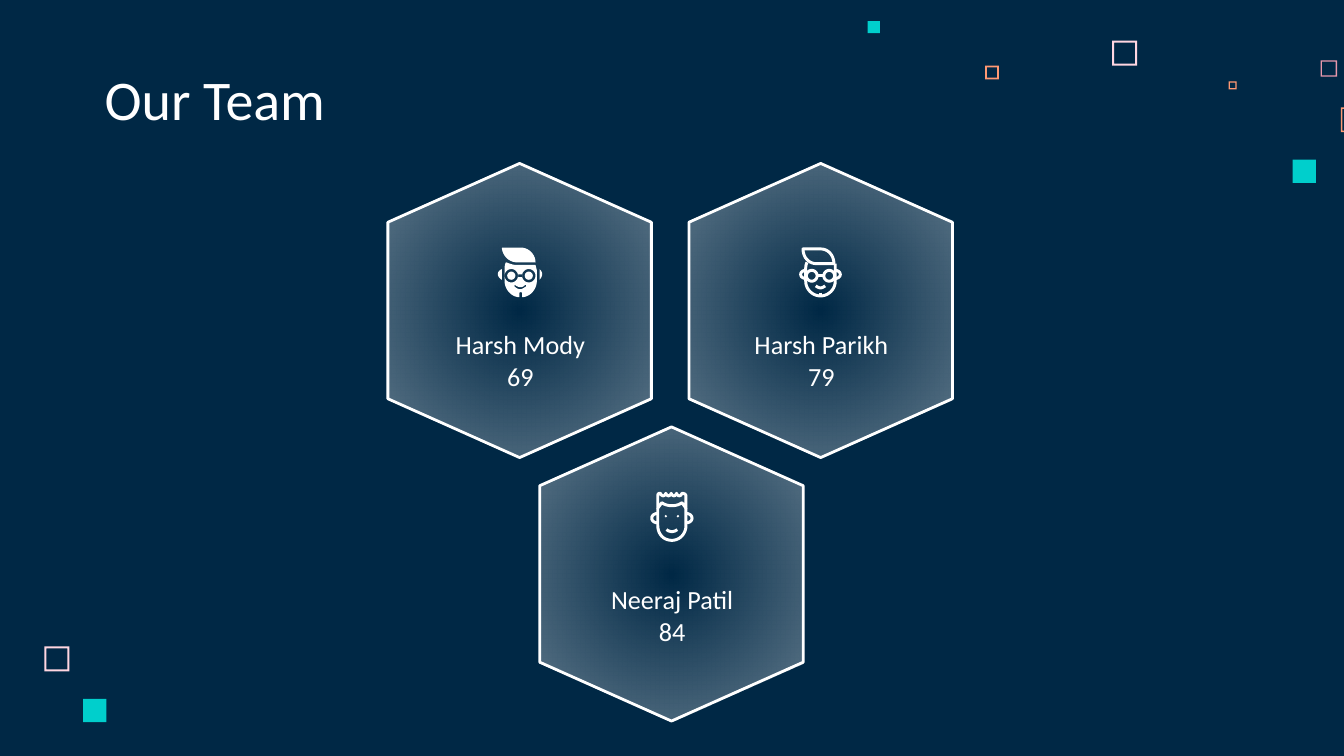
from dataclasses import dataclass

from pptx import Presentation
from pptx.dml.color import RGBColor
from pptx.enum.shapes import MSO_SHAPE
from pptx.enum.text import MSO_ANCHOR, PP_ALIGN
from pptx.oxml import parse_xml
from pptx.oxml.ns import nsdecls, qn
from pptx.util import Cm, Pt

FRAME = MSO_SHAPE.FRAME
RECT = MSO_SHAPE.RECTANGLE
HEXAGON = MSO_SHAPE.FLOWCHART_PREPARATION
BOTTOM = MSO_ANCHOR.BOTTOM
LEFT = PP_ALIGN.LEFT
CENTER = PP_ALIGN.CENTER


@dataclass(frozen=True)
class Theme:
    font: str = "Calibri"
    title: float = 30
    body: float = 14
    navy: RGBColor = RGBColor.from_string("002845")
    white: RGBColor = RGBColor.from_string("FFFFFF")
    teal: RGBColor = RGBColor.from_string("00CFCC")
    orange: RGBColor = RGBColor.from_string("FF9973")
    pink: RGBColor = RGBColor.from_string("FFD6E1")
    rose: RGBColor = RGBColor.from_string("E898AC")


T = Theme()

prs = Presentation()
prs.slide_width, prs.slide_height = Cm(25.4), Cm(14.29)
s = prs.slides.add_slide(prs.slide_layouts[6])
s.background.fill.solid()
s.background.fill.fore_color.rgb = T.navy


def add_text(text, x, y, w, h, size=T.body, align=CENTER):
    tf = s.shapes.add_textbox(Cm(x), Cm(y), Cm(w), Cm(h)).text_frame
    tf.word_wrap = True
    tf.vertical_anchor = BOTTOM
    tf.margin_left = tf.margin_right = tf.margin_top = tf.margin_bottom = Cm(0.25)
    for i, line in enumerate(text.split("\n")):
        p = tf.paragraphs[0] if i == 0 else tf.add_paragraph()
        p.alignment = align
        r = p.add_run()
        r.text = line
        r.font.name, r.font.size = T.font, Pt(size)
        r.font.color.rgb = T.white


def draw_path(path, x, y, filled):
    unit = Cm(2.54) / 100
    contours = []
    for token in path.split():
        n = [float(v) for v in token[1:].split(",")] if len(token) > 1 else []
        if token[0] == "M":
            contours.append(([tuple(n)], False))
        elif token[0] == "L":
            contours[-1][0].append(tuple(n))
        elif token[0] == "Z":
            contours[-1] = (contours[-1][0], True)
        else:
            points = contours[-1][0]
            start = points[-1]
            for t in (i / 10 for i in range(1, 11)):
                u = 1 - t
                points.append(tuple(
                    u**3 * start[k] + 3 * u * u * t * n[k]
                    + 3 * u * t * t * n[k + 2] + t**3 * n[k + 4]
                    for k in (0, 1)))
    builder = None
    for points, closed in contours:
        pts = [(Cm(x) + px * unit, Cm(y) + py * unit) for px, py in points]
        if builder is None:
            builder = s.shapes.build_freeform(*pts[0], scale=1)
        else:
            builder.move_to(*pts[0])
        builder.add_line_segments(pts[1:], close=closed)
    sp = builder.convert_to_shape()
    sp.shadow.inherit = False
    if filled:
        sp.fill.solid()
        sp.fill.fore_color.rgb = T.white
        sp.line.fill.background()
    else:
        sp.fill.background()
        sp.line.color.rgb = T.white
        sp.line.width = Pt(1.6)


squares = [
    (21.02, 0.77, 0.47, T.pink, 0.08),
    (24.96, 1.14, 0.31, T.rose, 0.08),
    (23.22, 1.54, 0.15, T.orange, 0.15),
    (25.34, 2.03, 0.47, T.orange, 0.06),
    (24.43, 3.02, 0.44, T.teal, None),
    (18.62, 1.24, 0.26, T.orange, 0.13),
    (16.4, 0.4, 0.23, T.teal, None),
    (0.84, 12.22, 0.47, T.pink, 0.08),
    (1.57, 13.21, 0.44, T.teal, None),
]
for x, y, side, color, border in squares:
    sp = s.shapes.add_shape(FRAME if border else RECT, Cm(x), Cm(y), Cm(side), Cm(side))
    if border:
        sp.adjustments[0] = border
    sp.shadow.inherit = False
    sp.fill.solid()
    sp.fill.fore_color.rgb = color
    sp.line.fill.background()

add_text("Our Team", 1.73, 1.14, 13.13, 1.6, size=T.title, align=LEFT)

circles = {
    (cx, r): f"M{cx - r},21 C{cx - r},{21 - 0.55 * r},{cx - 0.55 * r},{21 - r},{cx},{21 - r} "
             f"C{cx + 0.55 * r},{21 - r},{cx + r},{21 - 0.55 * r},{cx + r},21 "
             f"C{cx + r},{21 + 0.55 * r},{cx + 0.55 * r},{21 + r},{cx},{21 + r} "
             f"C{cx - 0.55 * r},{21 + r},{cx - r},{21 + 0.55 * r},{cx - r},21 Z"
    for cx in (9.5, 10, 22.5, 23) for r in (3, 4, 5)
}
solid_face = [
    ("M4,0 C3,0 3,1 3,1".replace("M4,0 C3,0 3,1 3,1", "M4,0 C3,0,3,0,3,1")
     + " C4,7,9,11,14,11 L28,11 C28,5,23,0,17,0 Z", True),
    ("M6,11 C5,13,5,15,5,17 L5,25 C5,31,10,37,16,37 L16,34 C16,33,18,33,18,34 "
     "L18,37 C24,37,29,31,29,25 L29,17 L28,13 L14,13 C11,13,9,12,6,11 Z "
     "M13,28 C15,30,19,30,20,28 C21,27,22,29,20,29.5 C18,31.5,15,31.5,13,29.5 "
     "C12,29,12,28,13,28 Z M15,20 L18,20 L18,22 L15,22 Z "
     + " ".join(circles[c] for c in ((10, 5), (23, 5), (10, 3), (23, 3))), True),
    ("M3,16 C1,17,0,18,0,20 C0,21,1,23,3,24 Z "
     "M31,16 L31,24 C32,23,33,21,33,20 C33,18,32,17,31,16 Z", True),
]
outline_face = [
    ("M3,1 L16,1 C22,1,26,6,26,12 L13,12 C7,12,3,7,3,1 Z "
     "M6,11 C5,13,5,15,5,17 L5,25 C5,31,10,36,16,36 C22,36,27,31,27,25 L27,12 "
     "M5,17 C0,17,0,23,5,23 M27,17 C32,17,32,23,27,23 "
     "M13.5,21 L18.5,21 M16,33.5 L16,36 M12.5,28.5 C15,30.5,17,30.5,19.5,28.5 "
     + circles[9.5, 4] + " " + circles[22.5, 4], False),
]
scallops = " ".join(f"C{x + 1},3.5,{x + 3},3.5,{x + 4},1" for x in range(8, 24, 4))
short_hair_face = [
    (f"M6,12 L6,3 C6,1,7,1,8,1 {scallops} C26,1,27,2,27,3 L27,12 L24,8 "
     "C20,11,13,11,9,8 Z M6,12 L6,25 C6,31,10,36,16.5,36 C22.5,36,27,31,27,25 "
     "L27,12 M6,16 C0,16,0,23,6,23 M27,16 C33,16,33,23,27,23 "
     "M12.5,28 C15,30,18,30,20.5,28", False),
    ("M11,18 L12,17 L13,18 L12,19 Z M20,18 L21,17 L22,18 L21,19 Z", True),
]

members = [
    ("Harsh Mody\n69", 7.04, 3.38, 1.3, 2.67, solid_face),
    ("Neeraj Patil\n84", 9.91, 8.36, 0.94, 2.51, short_hair_face),
    ("Harsh Parikh\n79", 12.73, 3.38, 1.3, 2.67, outline_face),
]
for label, x, y, icon_dy, text_dy, icon in members:
    sp = s.shapes.add_shape(HEXAGON, Cm(x), Cm(y), Cm(5.56), Cm(4.98))
    sp.rotation = 90
    sp.shadow.inherit = False
    sp.line.color.rgb = T.white
    sp.line.width = Pt(1.5)
    sp.fill.background()
    props = sp.element.spPr
    stops = "".join(
        f'<a:gs pos="{pos}"><a:srgbClr val="{T.white}"><a:alpha val="{alpha}"/></a:srgbClr></a:gs>'
        for pos, alpha in ((0, 0), (100000, 39000)))
    props.replace(props.find(qn("a:noFill")), parse_xml(
        f'<a:gradFill {nsdecls("a")}><a:gsLst>{stops}</a:gsLst><a:path path="circle">'
        '<a:fillToRect l="50000" t="50000" r="50000" b="50000"/></a:path></a:gradFill>'))
    add_text(label, x + 0.61, y + text_dy, 4.37, 1.6)
    for path, filled in icon:
        draw_path(path, x + 2.37, y + icon_dy, filled)

prs.save("out.pptx")
